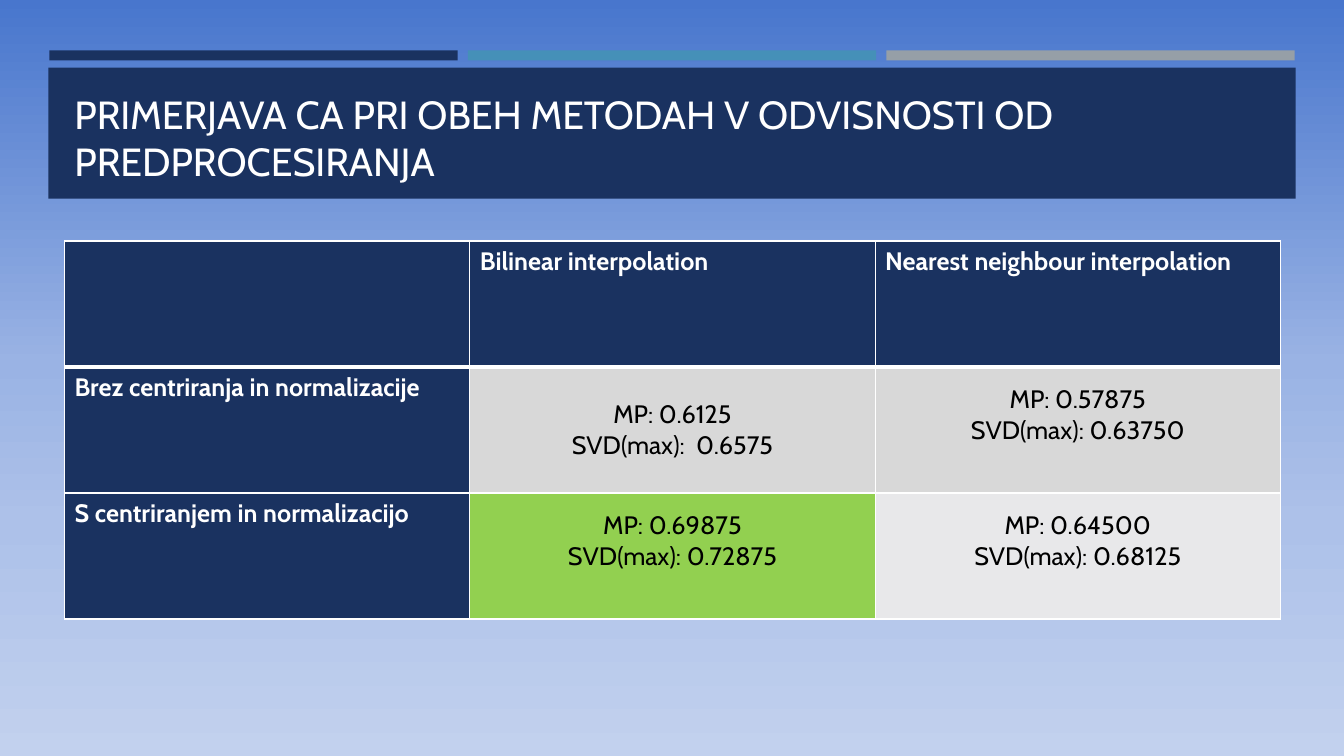
from pptx import Presentation
from pptx.dml.color import RGBColor
from pptx.enum.shapes import MSO_SHAPE
from pptx.enum.text import MSO_ANCHOR, PP_ALIGN
from pptx.oxml.ns import qn
from pptx.util import Inches, Pt
from lxml.etree import SubElement

# Content
TITLE = "PRIMERJAVA CA PRI OBEH METODAH V ODVISNOSTI OD PREDPROCESIRANJA"
ROWS = [
    ["", "Bilinear interpolation", "Nearest neighbour interpolation"],
    ["Brez centriranja in normalizacije",
     "MP: 0.6125\nSVD(max):  0.6575", "MP: 0.57875\nSVD(max): 0.63750"],
    ["S centriranjem in normalizacijo",
     "MP: 0.69875\nSVD(max): 0.72875", "MP: 0.64500\nSVD(max): 0.68125"],
]
NAVY, WHITE, BLACK = "1A3260", "FFFFFF", "000000"
FONT = "Cabin"
CELL_FILLS = [[NAVY, NAVY, NAVY],
              [NAVY, "D8D8D8", "D8D8D8"],
              [NAVY, "92D050", "E8E8EA"]]
BAR_FILLS = [NAVY, "4590B8", "969FA7"]
SKY = [(0, "4876CD"), (48, "9AB3E4"), (69, "ADC1E9"), (100, "C2D1EE")]

# Layout in inches
BAND_LEFT, BAND_WIDTH = 0.48, 12.37
BAR_WIDTH, BAR_STEP = 4.05, 4.15
INNER_LEFT, INNER_WIDTH = 0.64, 12.06
ROW_HEIGHT = 1.25
RAISE = 0.3  # extra bottom margin lifting the values above the middle


def color(hex_string):
    return RGBColor.from_string(hex_string)


def style(paragraph, size, hex_string, bold=False):
    font = paragraph.font
    font.name, font.size, font.bold = FONT, Pt(size), bold
    font.color.rgb = color(hex_string)


def add_block(slide, left, top, width, height, fill):
    block = slide.shapes.add_shape(MSO_SHAPE.RECTANGLE, Inches(left), Inches(top),
                                   Inches(width), Inches(height))
    block.shadow.inherit = False
    block.fill.solid()
    block.fill.fore_color.rgb = color(fill)
    block.line.fill.background()


def paint_sky(slide):
    slide.background.fill.gradient()
    stops = next(slide.background._cSld.iter(qn("a:gsLst")))
    for stop in list(stops):
        stops.remove(stop)
    for share, hex_string in SKY:
        stop = SubElement(stops, qn("a:gs"), pos=str(share * 1000))
        SubElement(stop, qn("a:srgbClr"), val=hex_string)
    next(slide.background._cSld.iter(qn("a:lin"))).set("ang", "5400000")


def add_borders(cell, widths):
    properties = cell._tc.get_or_add_tcPr()
    for side, width in widths.items():
        border = SubElement(properties, qn(f"a:ln{side}"), w=str(Pt(width)))
        SubElement(SubElement(border, qn("a:solidFill")), qn("a:srgbClr"), val=WHITE)


def fill_cell(cell, row, column):
    add_borders(cell, {"L": 1, "R": 1, "T": 3 if row == 1 else 1,
                       "B": 3 if row == 0 else 1})
    cell.fill.solid()
    cell.fill.fore_color.rgb = color(CELL_FILLS[row][column])
    cell.text = ROWS[row][column]
    is_value = row > 0 and column > 0
    for paragraph in cell.text_frame.paragraphs:
        style(paragraph, 18, BLACK if is_value else WHITE, not is_value)
        if is_value:
            paragraph.alignment = PP_ALIGN.CENTER
    if is_value:
        cell.vertical_anchor = MSO_ANCHOR.MIDDLE
        if (row, column) != (1, 1):
            cell.margin_bottom = Inches(0.05 + RAISE)


def main():
    deck = Presentation()
    deck.slide_width, deck.slide_height = Inches(13.33), Inches(7.5)
    slide = deck.slides.add_slide(deck.slide_layouts[6])
    paint_sky(slide)

    # Bars and title band
    for index, fill in enumerate(BAR_FILLS):
        add_block(slide, BAND_LEFT + 0.01 + index * BAR_STEP, 0.5, BAR_WIDTH, 0.1, fill)
    add_block(slide, BAND_LEFT, 0.67, BAND_WIDTH, 1.3, NAVY)

    # Title
    title = slide.shapes.add_textbox(Inches(INNER_LEFT), Inches(0.77),
                                     Inches(INNER_WIDTH), Inches(1.11)).text_frame
    title.word_wrap = True
    title.vertical_anchor = MSO_ANCHOR.BOTTOM
    title.text = TITLE
    style(title.paragraphs[0], 28, WHITE)

    # Comparison table
    table = slide.shapes.add_table(
        len(ROWS), len(ROWS[0]), Inches(INNER_LEFT), Inches(2.39),
        Inches(INNER_WIDTH), Inches(ROW_HEIGHT * len(ROWS))).table
    table.horz_banding = False
    for row in range(len(ROWS)):
        for column in range(len(ROWS[row])):
            fill_cell(table.cell(row, column), row, column)

    deck.save("out.pptx")


if __name__ == "__main__":
    main()
